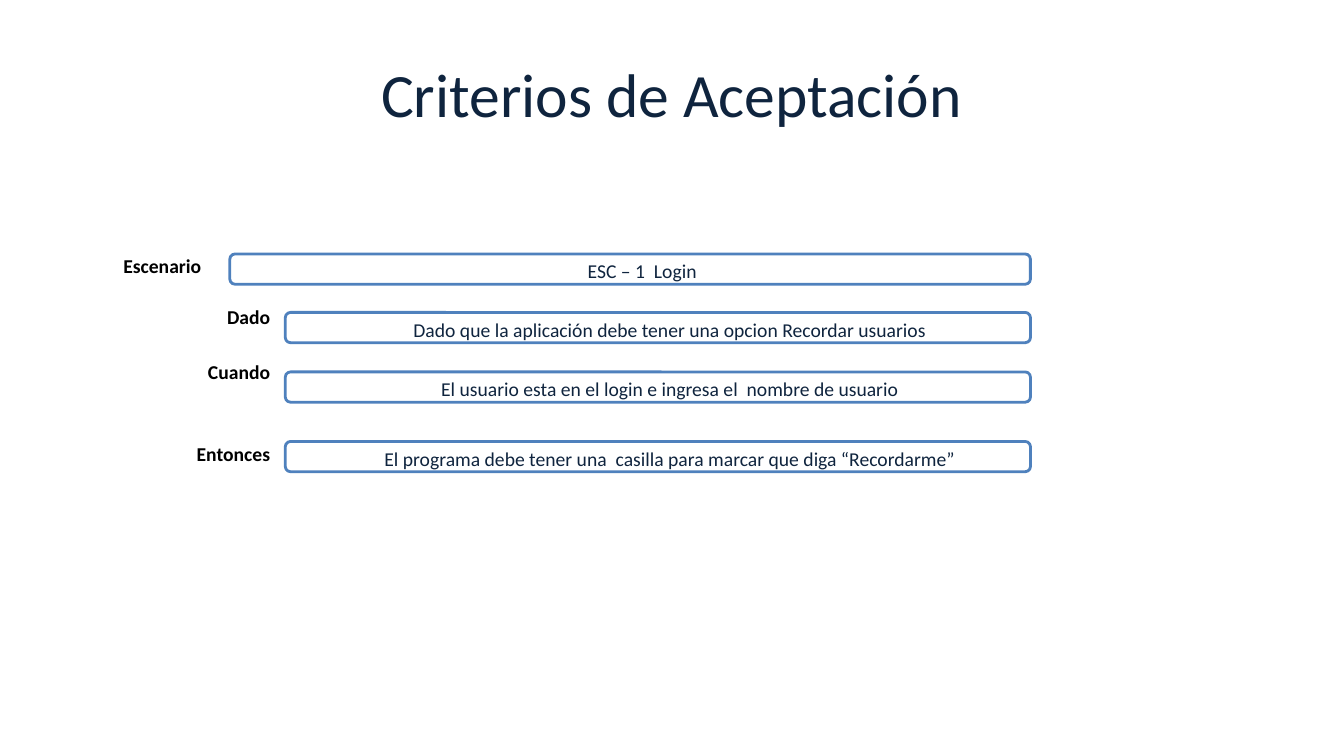
from pptx import Presentation
from pptx.dml.color import RGBColor
from pptx.enum.shapes import MSO_SHAPE
from pptx.enum.text import MSO_ANCHOR, PP_ALIGN
from pptx.util import Inches, Pt

CENTER, RIGHT = PP_ALIGN.CENTER, PP_ALIGN.RIGHT
MIDDLE = MSO_ANCHOR.MIDDLE
ROUNDED = MSO_SHAPE.ROUNDED_RECTANGLE

TITLE = "Criterios de Aceptación"
CRITERIA = [
    ("Escenario", "ESC – 1  Login"),
    ("Dado", "Dado que la aplicación debe tener una opcion Recordar usuarios"),
    ("Cuando", "El usuario esta en el login e ingresa el  nombre de usuario"),
    ("Entonces", "El programa debe tener una  casilla para marcar que diga “Recordarme”"),
]
THEME = {
    "font": "Calibri",
    "title": 44,
    "body": 14,
    "navy": RGBColor(0x0F, 0x24, 0x3E),
    "black": RGBColor(0, 0, 0),
    "white": RGBColor(255, 255, 255),
    "blue": RGBColor(0x4F, 0x81, 0xBD),
}
NO_GRID = "{2D5ABB26-0587-4C30-8999-92F81FD0307C}"

WIDTH, HEIGHT = 13.33, 7.5
LEFT, TOP = 1.02, 2.39
COLS = [1.18, 0.55, 7.7]
ROWS = [0.46, 0.55, 0.55, 1.06]
FIELD_TOPS = [2.52, 3.1, 3.69, 4.38]
FIELD_HEIGHT, FIELD_INSET, FIELD_RIGHT = 0.3, 0.08, 10.22


def write(tf, text, size, color, align, bold=False, spacing=1.15):
    tf.text = text
    p = tf.paragraphs[0]
    p.alignment = align
    p.line_spacing = spacing
    f = p.runs[0].font
    f.name, f.size, f.bold = THEME["font"], Pt(size), bold
    f.color.rgb = color
    return p


def add_title(s):
    margin = 0.05 * WIDTH
    sp = s.shapes.add_textbox(Inches(margin), Inches(0.04 * HEIGHT),
                              Inches(WIDTH - 2 * margin), Inches(HEIGHT / 6))
    tf = sp.text_frame
    tf.word_wrap = True
    tf.vertical_anchor = MIDDLE
    write(tf, TITLE, THEME["title"], THEME["navy"], CENTER, spacing=1.0)


def add_labels(s):
    frame = s.shapes.add_table(len(ROWS), len(COLS), Inches(LEFT), Inches(TOP),
                               Inches(sum(COLS)), Inches(sum(ROWS)))
    table = frame.table
    table.first_row = table.horz_banding = False
    frame._element.graphic.graphicData.tbl.tblPr[0].text = NO_GRID
    for col, width in zip(table.columns, COLS):
        col.width = Inches(width)
    for i, (label, _) in enumerate(CRITERIA):
        table.rows[i].height = Inches(ROWS[i])
        first = 1 if i == 0 else 0
        table.cell(i, first).merge(table.cell(i, first + 1))
        for cell in table.rows[i].cells:
            cell.fill.background()
        cell = table.cell(i, 0)
        cell.vertical_anchor = MIDDLE
        cell.margin_left = cell.margin_right = Inches(0.07)
        cell.margin_top, cell.margin_bottom = Inches(0.02), 0
        write(cell.text_frame, label, THEME["body"], THEME["black"],
              CENTER if i == 0 else RIGHT, bold=True)


def add_field(s, row, text):
    left = LEFT + sum(COLS[:1 if row == 0 else 2]) + FIELD_INSET
    sp = s.shapes.add_shape(ROUNDED, Inches(left), Inches(FIELD_TOPS[row]),
                            Inches(FIELD_RIGHT - left), Inches(FIELD_HEIGHT))
    sp.adjustments[0] = 0.17
    sp.shadow.inherit = False
    sp.fill.solid()
    sp.fill.fore_color.rgb = THEME["white"]
    sp.line.color.rgb = THEME["blue"]
    sp.line.width = Pt(2)
    tf = sp.text_frame
    tf.word_wrap = True
    tf.vertical_anchor = MIDDLE
    tf.margin_left = tf.margin_right = tf.margin_top = tf.margin_bottom = 0
    p = write(tf, text, THEME["body"], THEME["navy"], CENTER)
    pPr = p._p.get_or_add_pPr()
    pPr.set("marL", str(Inches(0.25)))
    pPr.set("indent", str(Inches(-0.01)))


def main():
    prs = Presentation()
    prs.slide_width, prs.slide_height = Inches(WIDTH), Inches(HEIGHT)
    s = prs.slides.add_slide(prs.slide_layouts[6])
    add_title(s)
    add_labels(s)
    for row, (_, text) in enumerate(CRITERIA):
        add_field(s, row, text)
    prs.save("out.pptx")


if __name__ == "__main__":
    main()
